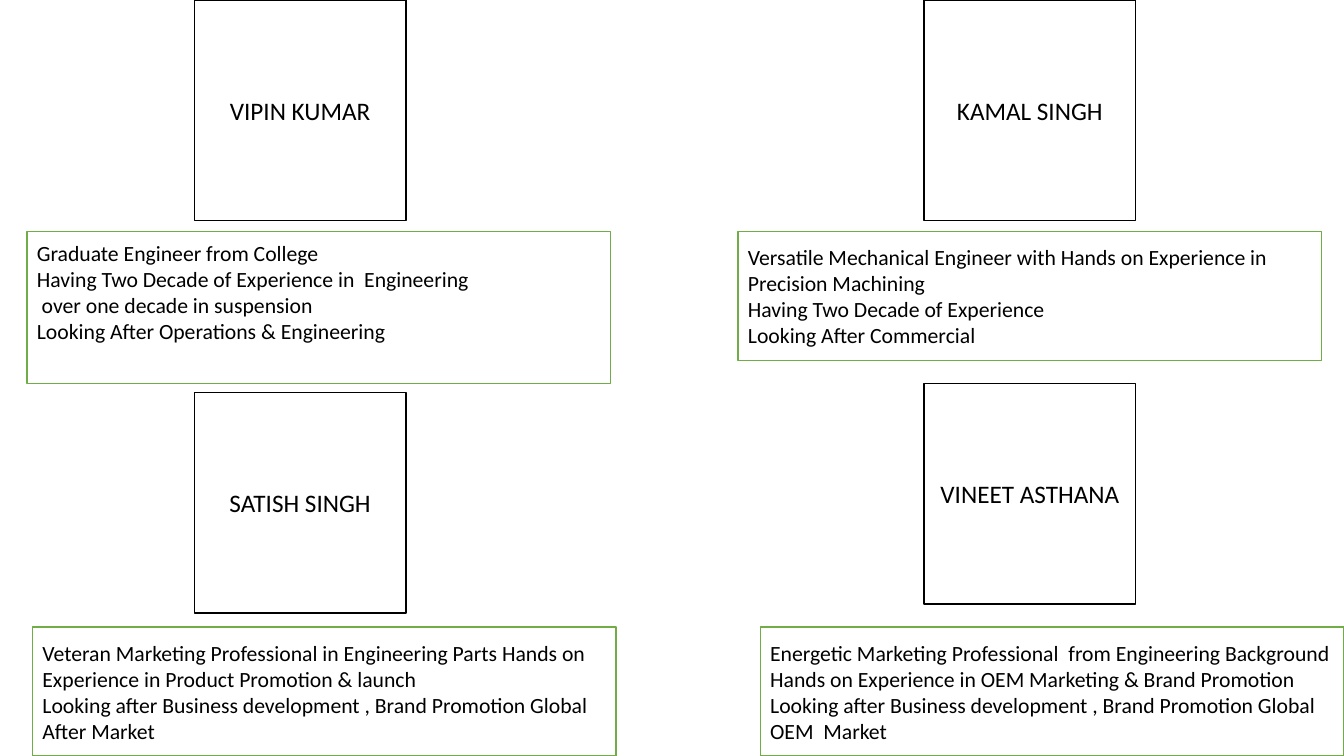
import pptx
import pptx.dml.color
import pptx.enum.shapes
import pptx.enum.text
import pptx.util

Cm = pptx.util.Cm
Pt = pptx.util.Pt
ALIGN = pptx.enum.text.PP_ALIGN

COLOURS = {"paper": "FFFFFF", "ink": "000000", "green": "70AD47"}
FONT = "Calibri"

NAME_WIDTH, NAME_HEIGHT = 5.33, 5.56
PROFILE_WIDTH, PROFILE_HEIGHT = 14.71, 3.25
LEFT_NAME, RIGHT_NAME = 4.9, 23.29
UPPER_PROFILE, LOWER_PROFILE = 5.84, 15.8

# name, left, top
NAMES = [
    ("VIPIN KUMAR", LEFT_NAME, 0),
    ("KAMAL SINGH", RIGHT_NAME, 0),
    ("SATISH SINGH", LEFT_NAME, 9.89),
    ("VINEET ASTHANA", RIGHT_NAME, 9.66),
]

# left, top, height, bottom inset, lines
PROFILES = [
    (0.68, UPPER_PROFILE, 3.82, 0.9, [
        "Graduate Engineer from College",
        "Having Two Decade of Experience in  Engineering",
        " over one decade in suspension",
        "Looking After Operations & Engineering",
    ]),
    (18.6, UPPER_PROFILE, PROFILE_HEIGHT, 0.13, [
        "Versatile Mechanical Engineer with Hands on Experience in Precision Machining",
        "Having Two Decade of Experience",
        "Looking After Commercial",
    ]),
    (19.16, LOWER_PROFILE, PROFILE_HEIGHT, 0.13, [
        "Energetic Marketing Professional  from Engineering Background",
        "Hands on Experience in OEM Marketing & Brand Promotion",
        "Looking after Business development , Brand Promotion Global OEM  Market",
    ]),
    (0.82, LOWER_PROFILE, PROFILE_HEIGHT, 0.13, [
        "Veteran Marketing Professional in Engineering Parts Hands on "
        "Experience in Product Promotion & launch",
        "Looking after Business development , Brand Promotion Global After Market",
    ]),
]


def colour(name):
    return pptx.dml.color.RGBColor.from_string(COLOURS[name])


def add_box(slide, left, top, width, height, outline):
    shape = slide.shapes.add_shape(
        pptx.enum.shapes.MSO_SHAPE.RECTANGLE, Cm(left), Cm(top), Cm(width), Cm(height))
    shape.shadow.inherit = False
    shape.fill.solid()
    shape.fill.fore_color.rgb = colour("paper")
    shape.line.color.rgb = colour(outline)
    shape.line.width = Pt(1)
    shape.text_frame.word_wrap = True
    shape.text_frame.vertical_anchor = pptx.enum.text.MSO_ANCHOR.MIDDLE
    return shape


def write_lines(text_frame, lines, size, alignment):
    for index, line in enumerate(lines):
        paragraph = text_frame.add_paragraph() if index else text_frame.paragraphs[0]
        paragraph.alignment = alignment
        run = paragraph.add_run()
        run.text = line
        run.font.name = FONT
        run.font.size = Pt(size)
        run.font.color.rgb = colour("ink")


def add_name(slide, name, left, top):
    shape = add_box(slide, left, top, NAME_WIDTH, NAME_HEIGHT, "ink")
    write_lines(shape.text_frame, [name], 18, ALIGN.CENTER)


def add_profile(slide, left, top, height, bottom_inset, lines):
    shape = add_box(slide, left, top, PROFILE_WIDTH, height, "green")
    shape.text_frame.margin_bottom = Cm(bottom_inset)
    write_lines(shape.text_frame, lines, 15.5, ALIGN.LEFT)


def main():
    presentation = pptx.Presentation()
    presentation.slide_width = Cm(33.87)
    presentation.slide_height = Cm(19.05)
    slide = presentation.slides.add_slide(presentation.slide_layouts[6])
    for name in NAMES:
        add_name(slide, *name)
    for profile in PROFILES:
        add_profile(slide, *profile)
    presentation.save("out.pptx")


if __name__ == "__main__":
    main()
